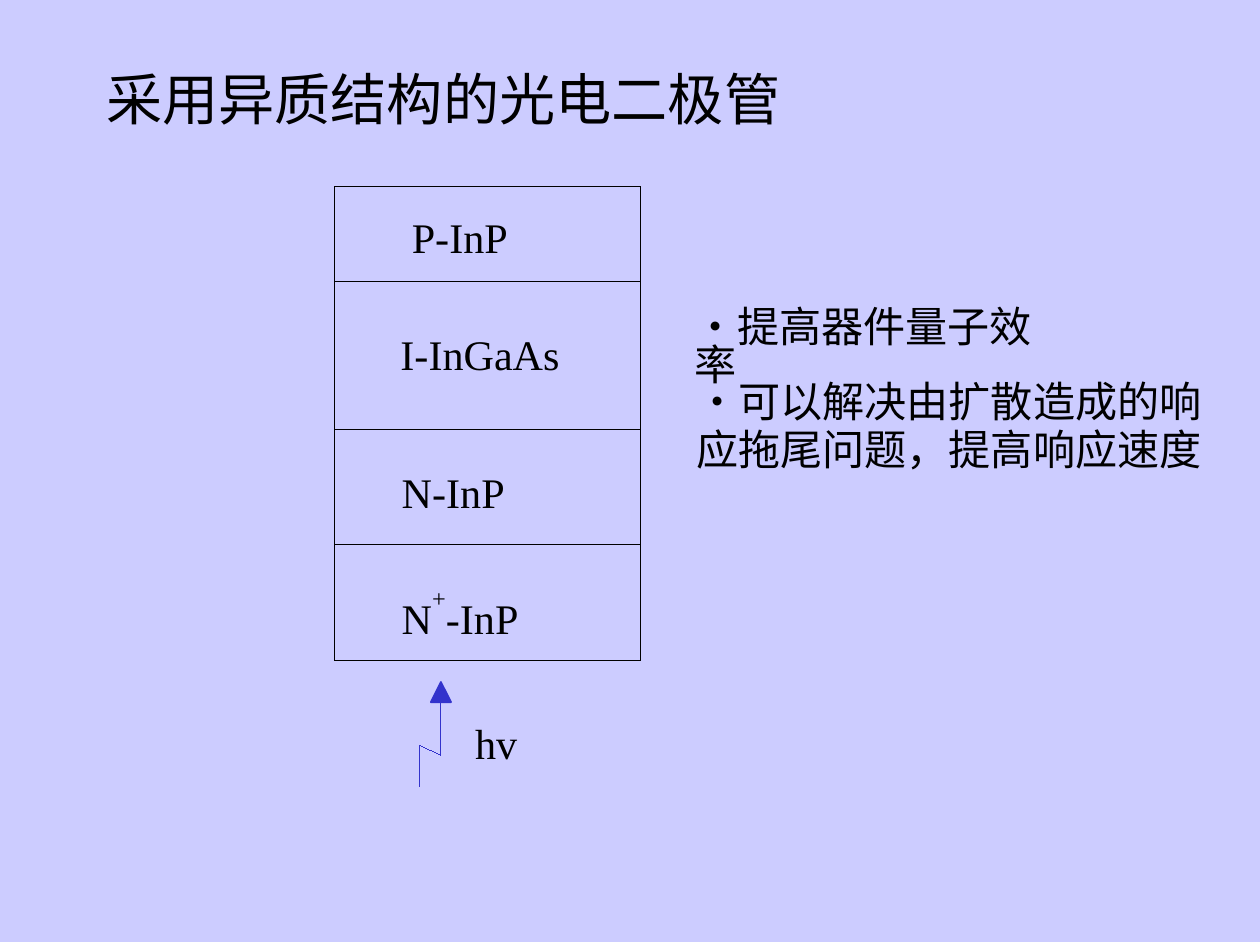
"""Build the slide on photodiodes with a heterostructure."""
from dataclasses import dataclass

from lxml.etree import SubElement
from pptx import Presentation
from pptx.dml.color import RGBColor
from pptx.enum.shapes import MSO_CONNECTOR, MSO_SHAPE
from pptx.oxml.ns import qn
from pptx.shapes.autoshape import Shape
from pptx.slide import Slide
from pptx.text.text import _Paragraph
from pptx.util import Inches, Pt

LAVENDER = "CCCCFF"
BLACK = "000000"
BLUE = "3333CC"
FONT = "Times New Roman"
HAIRLINE = 0.01

SLIDE_WIDTH, SLIDE_HEIGHT = 718 / 72, 537 / 72
STACK_LEFT, STACK_RIGHT = 2.65, 5.07
LAYER_EDGES = (1.48, 2.23, 3.4, 4.31, 5.23)
LIGHT_PATH = ((3.32, 6.23), (3.32, 5.9), (3.49, 5.98), (3.49, 5.56))


@dataclass(frozen=True)
class Label:
    text: str
    left: float
    top: float
    width: float
    height: float = 0.3
    size: float = 24
    spacing: float = 21.6
    superscript: str = ""
    suffix: str = ""


LABELS = (
    Label("采用异质结构的光电二极管", 0.84, 0.6, 6, 0.45, size=32, spacing=32),
    Label("P-InP", 3.26, 1.77, 1.26),
    Label("I-InGaAs", 3.17, 2.7, 1.5),
    Label("N-InP", 3.18, 3.79, 1.26),
    Label("N", 3.18, 4.79, 1.26, superscript="+", suffix="-InP"),
    Label("hv", 3.76, 5.78, 0.6),
    Label("•提高器件量子效率", 5.5, 2.48, 2.79, 0.6),
    Label("•可以解决由扩散造成的响应拖尾问题，提高响应速度", 5.51, 3, 4.1, 0.75, spacing=27),
)


def color(value: str) -> RGBColor:
    return RGBColor.from_string(value)


def style(shape: Shape, fill: str | None, line: str, width: float) -> None:
    shape.shadow.inherit = False
    if fill is None:
        shape.fill.background()
    else:
        shape.fill.solid()
        shape.fill.fore_color.rgb = color(fill)
    shape.line.color.rgb = color(line)
    shape.line.width = Pt(width)


def add_layers(slide: Slide) -> None:
    top, *dividers, bottom = LAYER_EDGES
    stack = slide.shapes.add_shape(
        MSO_SHAPE.RECTANGLE, Inches(STACK_LEFT), Inches(top),
        Inches(STACK_RIGHT - STACK_LEFT), Inches(bottom - top))
    style(stack, LAVENDER, BLACK, HAIRLINE)
    for edge in dividers:
        divider = slide.shapes.add_connector(
            MSO_CONNECTOR.STRAIGHT, Inches(STACK_LEFT), Inches(edge),
            Inches(STACK_RIGHT), Inches(edge))
        divider.line.color.rgb = color(BLACK)
        divider.line.width = Pt(HAIRLINE)
        SubElement(divider._element.spPr, qn("a:effectLst"))


def add_light(slide: Slide) -> None:
    start, *bends = [(Inches(x), Inches(y)) for x, y in LIGHT_PATH]
    builder = slide.shapes.build_freeform(*start)
    builder.add_line_segments(bends, close=False)
    style(builder.convert_to_shape(), None, BLUE, HAIRLINE)
    arrowhead = slide.shapes.add_shape(
        MSO_SHAPE.ISOSCELES_TRIANGLE, Inches(3.41), Inches(5.4), Inches(0.16), Inches(0.16))
    style(arrowhead, BLUE, BLUE, 1)


def add_superscript(paragraph: _Paragraph, text: str, suffix: str) -> None:
    raised = paragraph.add_run()
    raised.text = text
    raised.font._element.set("baseline", "64000")
    paragraph.add_run().text = suffix


def add_label(slide: Slide, label: Label) -> None:
    frame = slide.shapes.add_textbox(
        Inches(label.left), Inches(label.top),
        Inches(label.width), Inches(label.height)).text_frame
    frame.margin_left = frame.margin_right = frame.margin_top = frame.margin_bottom = 0
    frame.word_wrap = True
    frame.text = label.text
    paragraph = frame.paragraphs[0]
    paragraph.line_spacing = Pt(label.spacing)
    if label.superscript:
        add_superscript(paragraph, label.superscript, label.suffix)
    for run in paragraph.runs:
        run.font.name = FONT
        run.font.size = Pt(label.size)
        run.font.color.rgb = color(BLACK)


def main() -> None:
    presentation = Presentation()
    presentation.slide_width = Inches(SLIDE_WIDTH)
    presentation.slide_height = Inches(SLIDE_HEIGHT)
    slide = presentation.slides.add_slide(presentation.slide_layouts[6])
    slide.background.fill.solid()
    slide.background.fill.fore_color.rgb = color(LAVENDER)
    add_layers(slide)
    add_light(slide)
    for label in LABELS:
        add_label(slide, label)
    presentation.save("out.pptx")


if __name__ == "__main__":
    main()
